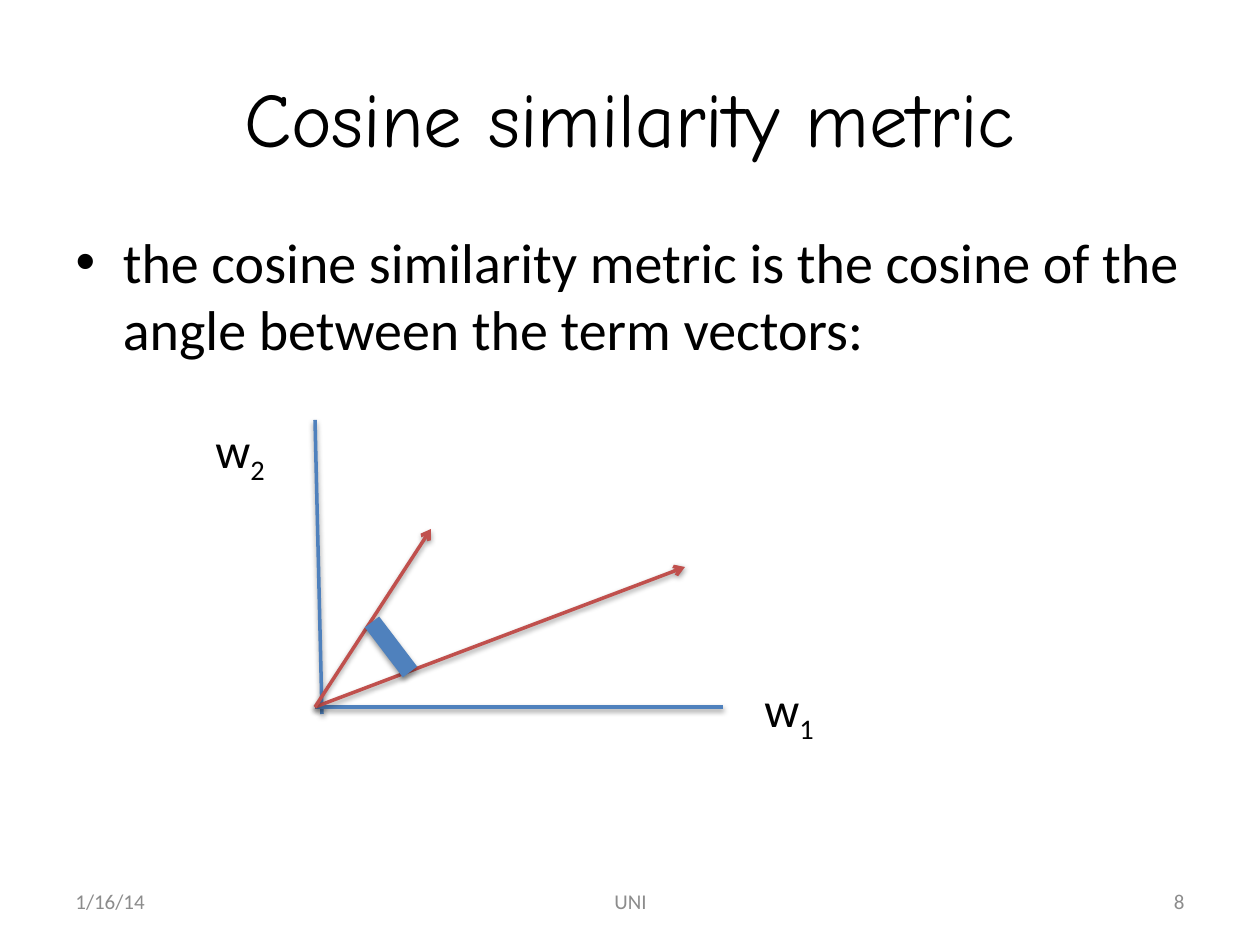
from lxml.etree import SubElement
from pptx import Presentation
from pptx.dml.color import RGBColor
from pptx.enum.shapes import MSO_CONNECTOR
from pptx.enum.text import MSO_ANCHOR, MSO_AUTO_SIZE, PP_ALIGN
from pptx.oxml.ns import qn
from pptx.util import Pt

EMU_PER_PIXEL = 914400 / 126


def px(*lengths):
    return [round(length * EMU_PER_PIXEL) for length in lengths]


def color(hex_string):
    return RGBColor.from_string(hex_string)


class VectorSlide:
    FONT, TITLE_FONT = "Calibri", "Comic Neue"
    BLACK, GREY = "000000", "8C8C8C"
    BLUE, RED = "4F81BD", "C0504D"

    def __init__(self, presentation):
        self.slide = presentation.slides.add_slide(presentation.slide_layouts[1])

    def style(self, paragraph, size, font=FONT, fill=BLACK, align=None):
        paragraph.font.name = font
        paragraph.font.size = Pt(size)
        paragraph.font.color.rgb = color(fill)
        paragraph.alignment = align

    def placeholder(self, index, box, text, size, font=FONT, align=None):
        holder = self.slide.placeholders[index]
        holder.left, holder.top, holder.width, holder.height = px(*box)
        holder.text_frame.text = text
        self.style(holder.text_frame.paragraphs[0], size, font, align=align)

    def footer(self, left, width, text, align):
        frame = self.slide.shapes.add_textbox(*px(left, 876, width, 50)).text_frame
        frame.word_wrap = True
        frame.vertical_anchor = MSO_ANCHOR.MIDDLE
        frame.text = text
        self.style(frame.paragraphs[0], 12, fill=self.GREY, align=align)

    def axis_label(self, left, top, letter, subscript):
        frame = self.slide.shapes.add_textbox(*px(left, top, 78, 72)).text_frame
        frame.word_wrap = False
        frame.auto_size = MSO_AUTO_SIZE.SHAPE_TO_FIT_TEXT
        paragraph = frame.paragraphs[0]
        paragraph.add_run().text = letter
        lowered = paragraph.add_run()
        lowered.text = subscript
        lowered._r.get_or_add_rPr().set("baseline", "-25000")
        self.style(paragraph, 28)

    def line(self, start, end, stroke, width=2, arrow=False):
        connector = self.slide.shapes.add_connector(
            MSO_CONNECTOR.STRAIGHT, *px(*start, *end))
        connector.line.color.rgb = color(stroke)
        connector.line.width = Pt(width)
        properties = connector._element.spPr
        if arrow:
            SubElement(properties.find(qn("a:ln")), qn("a:tailEnd"), type="arrow")
        # Soft shadow straight below the line
        effects = SubElement(properties, qn("a:effectLst"))
        shadow = SubElement(effects, qn("a:outerShdw"), blurRad=str(Pt(3.1)),
                            dist=str(Pt(1.6)), dir="5400000", rotWithShape="0")
        tint = SubElement(shadow, qn("a:srgbClr"), val=self.BLACK)
        SubElement(tint, qn("a:alpha"), val="38000")


presentation = Presentation()
presentation.slide_width, presentation.slide_height = px(1260, 945)
page = VectorSlide(presentation)

# Title and statement
page.placeholder(0, (63, 38, 1134, 157), "Cosine similarity metric", 44,
                 page.TITLE_FONT, PP_ALIGN.CENTER)
page.placeholder(1, (63, 221, 1134, 624),
                 "the cosine similarity metric is the cosine of the "
                 "angle between the term vectors:", 32)

# Footer
for left, width, text, align in (
    (63, 294, "1/16/14", PP_ALIGN.LEFT),
    (431, 399, "UNI", PP_ALIGN.CENTER),
    (903, 294, "8", PP_ALIGN.RIGHT),
):
    page.footer(left, width, text, align)

# Axes
origin = (315, 707)
page.line((315, 420), (322, 714), page.BLUE)
page.line(origin, (723, 707), page.BLUE)

# Term vectors
for tip in ((685, 567), (431, 529)):
    page.line(origin, tip, page.RED, arrow=True)

# Axis labels
page.axis_label(752, 672, "w", "1")
page.axis_label(203, 413, "w", "2")

# Angle between the vectors
page.line((372, 622), (410, 672), page.BLUE, width=10.25)

presentation.save("out.pptx")
